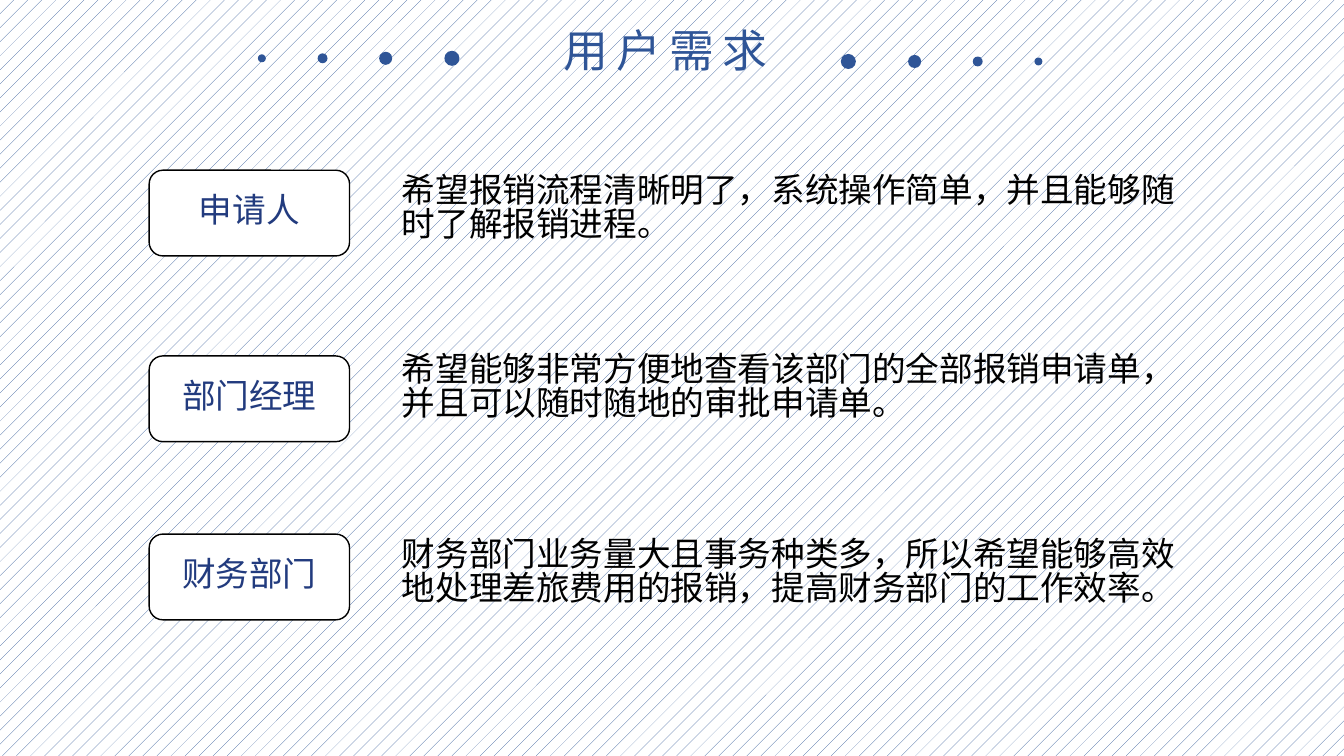
"""Build the user requirements slide."""
from dataclasses import dataclass

import pptx
import pptx.dml.color
import pptx.enum.dml
import pptx.enum.shapes
import pptx.enum.text
import pptx.oxml
import pptx.oxml.ns
import pptx.util

Cm, Pt = pptx.util.Cm, pptx.util.Pt
RGB = pptx.dml.color.RGBColor.from_string
Shape = pptx.enum.shapes.MSO_SHAPE
Align = pptx.enum.text.PP_ALIGN
Anchor = pptx.enum.text.MSO_ANCHOR
AutoSize = pptx.enum.text.MSO_AUTO_SIZE

TITLE = "用户需求"
NEEDS = [
    ("申请人", 4.29, 4.29, "希望报销流程清晰明了，系统操作简单，并且能够随时了解报销进程。"),
    ("部门经理", 8.97, 8.81, "希望能够非常方便地查看该部门的全部报销申请单，并且可以随时随地的审批申请单。"),
    ("财务部门", 13.46, 13.46, "财务部门业务量大且事务种类多，所以希望能够高效地处理差旅费用的报销，提高财务部门的工作效率。"),
]
DOTS = [(6.6, 0.2), (8.13, 0.25), (9.72, 0.33), (11.39, 0.38)]
DOT_SUM = 32.77
LEFT_DOT_Y, RIGHT_DOT_Y = 1.47, 1.55
BOX_X, BOX_W, BOX_H = 3.76, 5.05, 2.16
TEXT_X, TEXT_W, TEXT_H = 9.88, 20.6, 2.31


@dataclass(frozen=True)
class Theme:
    """Colours, fonts and type sizes."""
    accent: str = "2F5597"
    label: str = "223B7E"
    ink: str = "000000"
    paper: str = "FFFFFF"
    title_font: str = "Noto Sans CJK JP"
    body_font: str = "Noto Sans CJK SC"
    title_size: int = 32
    body_size: int = 24


T = Theme()


def write(sp, text, size=T.body_size, color=T.ink, font=T.body_font,
          align=Align.LEFT, anchor=Anchor.TOP, wrap=True, grow=True,
          leading=0.84, tracking=0):
    """Put one formatted paragraph into a shape."""
    tf = sp.text_frame
    tf.word_wrap = wrap
    tf.vertical_anchor = anchor
    tf.auto_size = AutoSize.SHAPE_TO_FIT_TEXT if grow else AutoSize.NONE
    p = tf.paragraphs[0]
    p.alignment = align
    p.line_spacing = leading
    r = p.add_run()
    r.text = text
    r.font.size = Pt(size)
    r.font.color.rgb = RGB(color)
    r.font.name = font
    rPr = r._r.get_or_add_rPr()
    ea = pptx.oxml.parse_xml(f'<a:ea {pptx.oxml.ns.nsdecls("a")} typeface="{font}"/>')
    rPr.append(ea)
    if tracking:
        rPr.set("spc", str(tracking * 100))


def add_filled(s, kind, x, y, w, h, fill):
    """Add a plain filled shape without outline or shadow."""
    sp = s.shapes.add_shape(kind, Cm(x), Cm(y), Cm(w), Cm(h))
    sp.shadow.inherit = False
    sp.fill.solid()
    sp.fill.fore_color.rgb = RGB(fill)
    sp.line.fill.background()
    return sp


def add_heading(s):
    """Place the title between two mirrored rows of dots."""
    title = s.shapes.title
    title.left, title.top, title.width, title.height = Cm(13.94), Cm(0.66), Cm(5.87), Cm(1.63)
    write(title, TITLE, size=T.title_size, color=T.accent, font=T.title_font,
          wrap=False, tracking=6)
    for x, d in DOTS:
        for cx, cy in ((x, LEFT_DOT_Y), (DOT_SUM - x, RIGHT_DOT_Y)):
            add_filled(s, Shape.OVAL, cx - d / 2, cy - d / 2, d, d, T.accent)


def add_need(s, label, box_y, text_y, text):
    """Add a labelled box and the need beside it."""
    box = add_filled(s, Shape.ROUNDED_RECTANGLE, BOX_X, box_y, BOX_W, BOX_H, T.paper)
    box.adjustments[0] = 0.16
    box.line.color.rgb = RGB(T.ink)
    box.line.width = Pt(1)
    write(box, label, color=T.label, align=Align.CENTER, anchor=Anchor.MIDDLE,
          grow=False, leading=0.76)
    note = s.shapes.add_textbox(Cm(TEXT_X), Cm(text_y), Cm(TEXT_W), Cm(TEXT_H))
    write(note, text)


def main():
    """Build and save the slide."""
    prs = pptx.Presentation()
    prs.slide_width, prs.slide_height = Cm(33.87), Cm(19.05)
    s = prs.slides.add_slide(prs.slide_layouts[5])
    fill = s.background.fill
    fill.patterned()
    fill.pattern = pptx.enum.dml.MSO_PATTERN.PERCENT_5
    fill.fore_color.rgb = RGB(T.accent)
    fill.back_color.rgb = RGB(T.paper)
    add_heading(s)
    for need in NEEDS:
        add_need(s, *need)
    prs.save("out.pptx")


if __name__ == "__main__":
    main()
